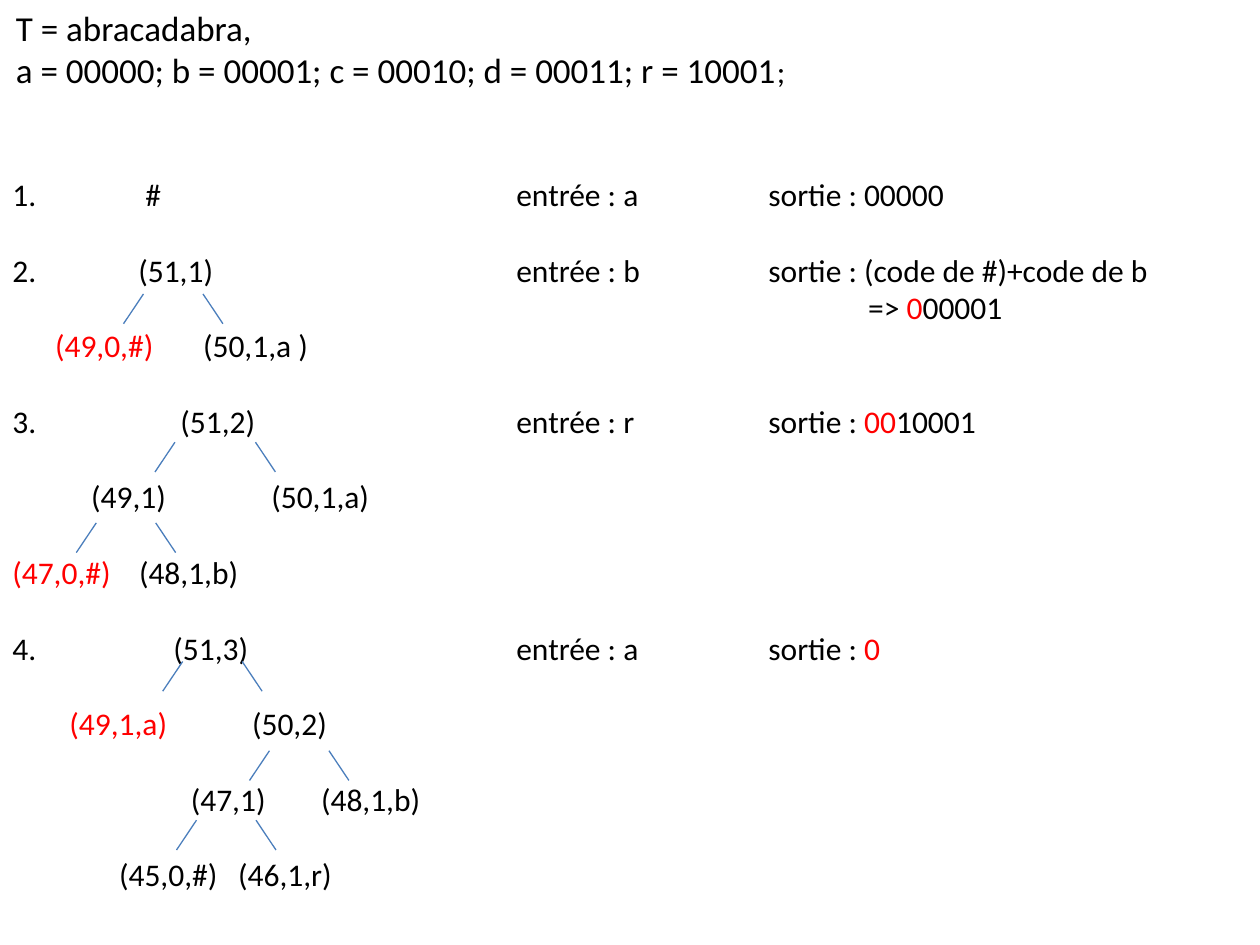
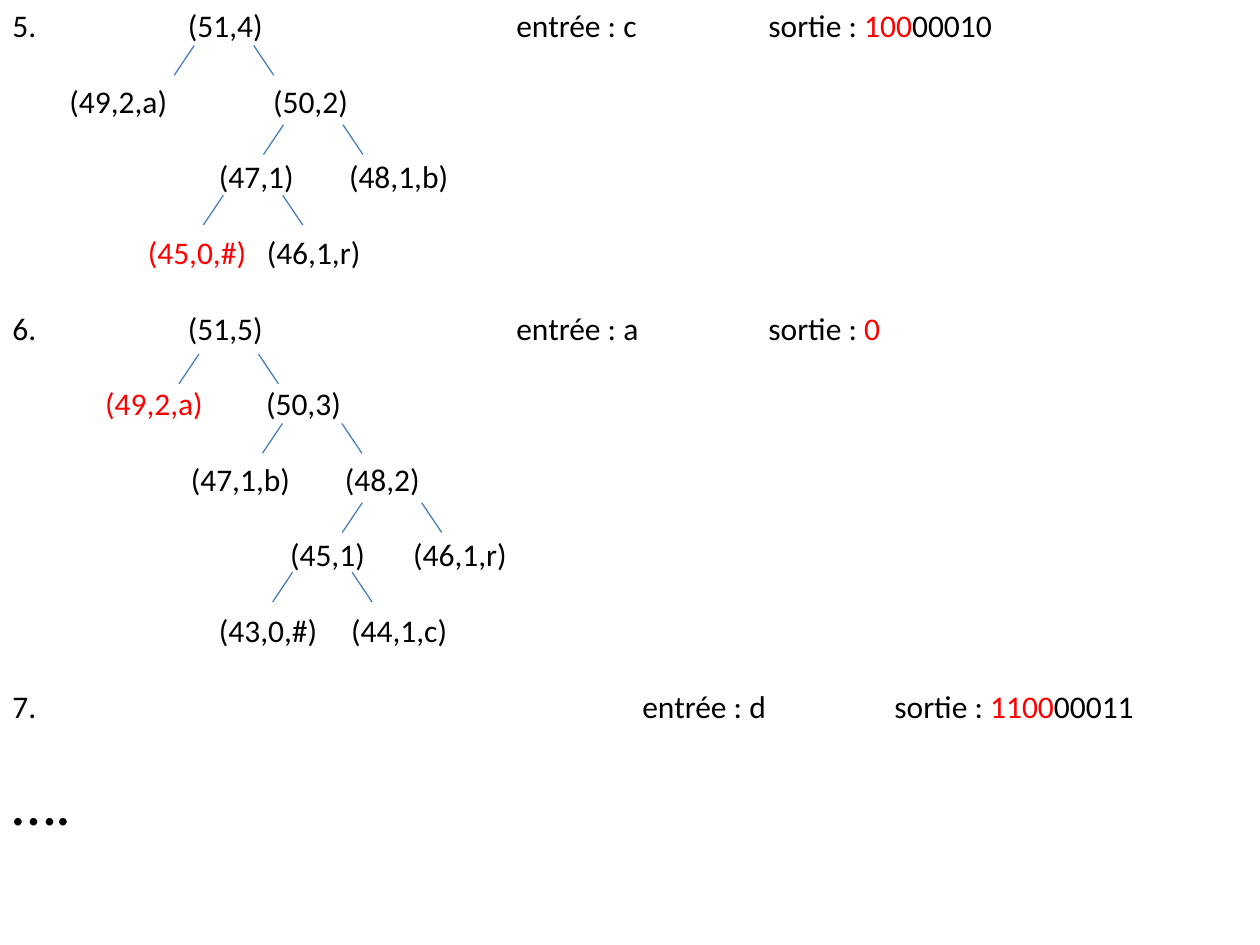
import pptx
import pptx.dml.color
import pptx.enum.shapes
import pptx.enum.text
import pptx.util
from lxml import etree
from pptx.oxml.ns import qn

Pt = pptx.util.Pt

FONT = "Calibri"
BLACK, RED, BRANCH_BLUE = "000000", "FF0000", "4B7EBC"
SLIDE_W, SLIDE_H = 720, 540
BODY_SIZE = 18
LINE = 21.6            # height of one line of body text
NUMBER_INDENT = 27
INPUT_X, OUTPUT_X = 288, 432
BRANCH_SPREAD, BRANCH_DROP = 11.4, 17

# A row is (cells, gap above). A cell is (tab stop, text); text between bars is red.
# A step is (number, cells of its first line, tree rows).
FIRST_STEPS = [
    (1, [(76, "#"), (INPUT_X, "entrée : a"), (OUTPUT_X, "sortie : 00000")], []),
    (2, [(72, "(51,1)"), (INPUT_X, "entrée : b"),
         (OUTPUT_X, "sortie : (code de #)+code de b")],
     [([(489, "=> |0|00001")], 0),
      ([(24.4, "|(49,0,#)|"), (109, "(50,1,a )")], 0)]),
    (3, [(96, "(51,2)"), (INPUT_X, "entrée : r"), (OUTPUT_X, "sortie : |00|10001")],
     [([(45, "(49,1)"), (148, "(50,1,a)")], LINE),
      ([(0, "|(47,0,#)|"), (72.4, "(48,1,b)")], LINE)]),
    (4, [(92, "(51,3)"), (INPUT_X, "entrée : a"), (OUTPUT_X, "sortie : |0|")],
     [([(32.6, "|(49,1,a)|"), (137, "(50,2)")], LINE),
      ([(102, "(47,1)"), (176.4, "(48,1,b)")], LINE),
      ([(61, "(45,0,#)"), (129, "(46,1,r)")], LINE)]),
]
NEXT_STEPS = [
    (5, [(100.3, "(51,4)"), (INPUT_X, "entrée : c"), (OUTPUT_X, "sortie : |100|00010")],
     [([(32.6, "(49,2,a)"), (149, "(50,2)")], LINE),
      ([(118, "(47,1)"), (192.4, "(48,1,b)")], LINE),
      ([(77.4, "|(45,0,#)|"), (145.4, "(46,1,r)")], LINE)]),
    (6, [(100.3, "(51,5)"), (INPUT_X, "entrée : a"), (OUTPUT_X, "sortie : |0|")],
     [([(53, "|(49,2,a)|"), (145, "(50,3)")], LINE),
      ([(102, "(47,1,b)"), (190, "(48,2)")], LINE),
      ([(158.7, "(45,1)"), (229, "(46,1,r)")], LINE),
      ([(118, "(43,0,#)"), (193.6, "(44,1,c)")], LINE)]),
    (7, [(INPUT_X + 72, "entrée : d"), (OUTPUT_X + 72, "sortie : |1100|00011")], []),
]

# Branch pairs: left start, top and, where it differs, distance between the starts.
FIRST_BRANCHES = [(82, 168), (100, 252.7, 46), (55, 298.8),
                  (104.4, 378), (154, 429), (112.3, 468.7)]
NEXT_BRANCHES = [(111, 26), (162, 71.3), (127.6, 111.6), (113.7, 202.3),
                 (161.4, 242), (207, 287.3), (167.2, 327)]


def rgb(value):
    return pptx.dml.color.RGBColor.from_string(value)


def add_run(p, text, size=BODY_SIZE, color=BLACK):
    r = p.add_run()
    r.text = text
    r.font.name = FONT
    r.font.size = Pt(size)
    r.font.color.rgb = rgb(color)
    return r


def add_text_box(slide, left, top, width, height):
    tf = slide.shapes.add_textbox(Pt(left), Pt(top), Pt(width), Pt(height)).text_frame
    tf.word_wrap = True
    tf.auto_size = pptx.enum.text.MSO_AUTO_SIZE.SHAPE_TO_FIT_TEXT
    return tf


def next_paragraph(tf, gap=0):
    """Return the empty first paragraph, or a new one with a gap above."""
    if not tf.paragraphs[0].runs:
        return tf.paragraphs[0]
    p = tf.add_paragraph()
    p.space_before = Pt(gap)
    return p


def add_row(tf, cells, gap, number=None):
    p = next_paragraph(tf, gap)
    p_pr = p._p.get_or_add_pPr()
    if number:
        p_pr.set("marL", str(Pt(NUMBER_INDENT)))
        p_pr.set("indent", str(-Pt(NUMBER_INDENT)))
        etree.SubElement(p_pr, qn("a:buFont"), typeface="+mj-lt")
        etree.SubElement(p_pr, qn("a:buAutoNum"), type="arabicPeriod", startAt=str(number))
    tabs = etree.SubElement(p_pr, qn("a:tabLst"))
    for stop, text in cells:
        if stop:
            etree.SubElement(tabs, qn("a:tab"), pos=str(Pt(stop)), algn="l")
            text = "\t" + text
        for i, part in enumerate(text.split("|")):
            if part:
                add_run(p, part, color=RED if i % 2 else BLACK)


def add_steps(slide, steps, top, height):
    tf = add_text_box(slide, 0, top, SLIDE_W, height)
    for number, cells, tree_rows in steps:
        add_row(tf, cells, LINE, number)
        for row_cells, gap in tree_rows:
            add_row(tf, row_cells, gap)
    return tf


def add_branches(slide, left, top, distance=34):
    for x, spread in ((left, -BRANCH_SPREAD), (left + distance, BRANCH_SPREAD)):
        line = slide.shapes.add_connector(
            pptx.enum.shapes.MSO_CONNECTOR.STRAIGHT,
            Pt(x), Pt(top), Pt(x + spread), Pt(top + BRANCH_DROP))
        line.line.color.rgb = rgb(BRANCH_BLUE)
        line.line.width = Pt(0.75)
        etree.SubElement(line._element.spPr, qn("a:effectLst"))


def add_codes(slide, left, top, width, height):
    tf = add_text_box(slide, left, top, width, height)
    add_run(next_paragraph(tf), "T = abracadabra,", size=20)
    p = next_paragraph(tf)
    add_run(p, "a = 00000; b = 00001; c = 00010; d = 00011; r = 10001", size=20)
    add_run(p, ";")


def add_first_slide(slide):
    add_steps(slide, FIRST_STEPS, 96.5, 443.5)
    for branch in FIRST_BRANCHES:
        add_branches(slide, *branch)
    add_codes(slide, 2, 0, SLIDE_W, 55.5)


def add_next_slide(slide):
    tf = add_steps(slide, NEXT_STEPS, 0, 487.5)
    add_run(next_paragraph(tf, LINE), "….", size=36)
    for branch in NEXT_BRANCHES:
        add_branches(slide, *branch)


def main():
    prs = pptx.Presentation()
    prs.slide_width, prs.slide_height = Pt(SLIDE_W), Pt(SLIDE_H)
    for build in (add_first_slide, add_next_slide):
        build(prs.slides.add_slide(prs.slide_layouts[6]))
    prs.save("out.pptx")


if __name__ == "__main__":
    main()
